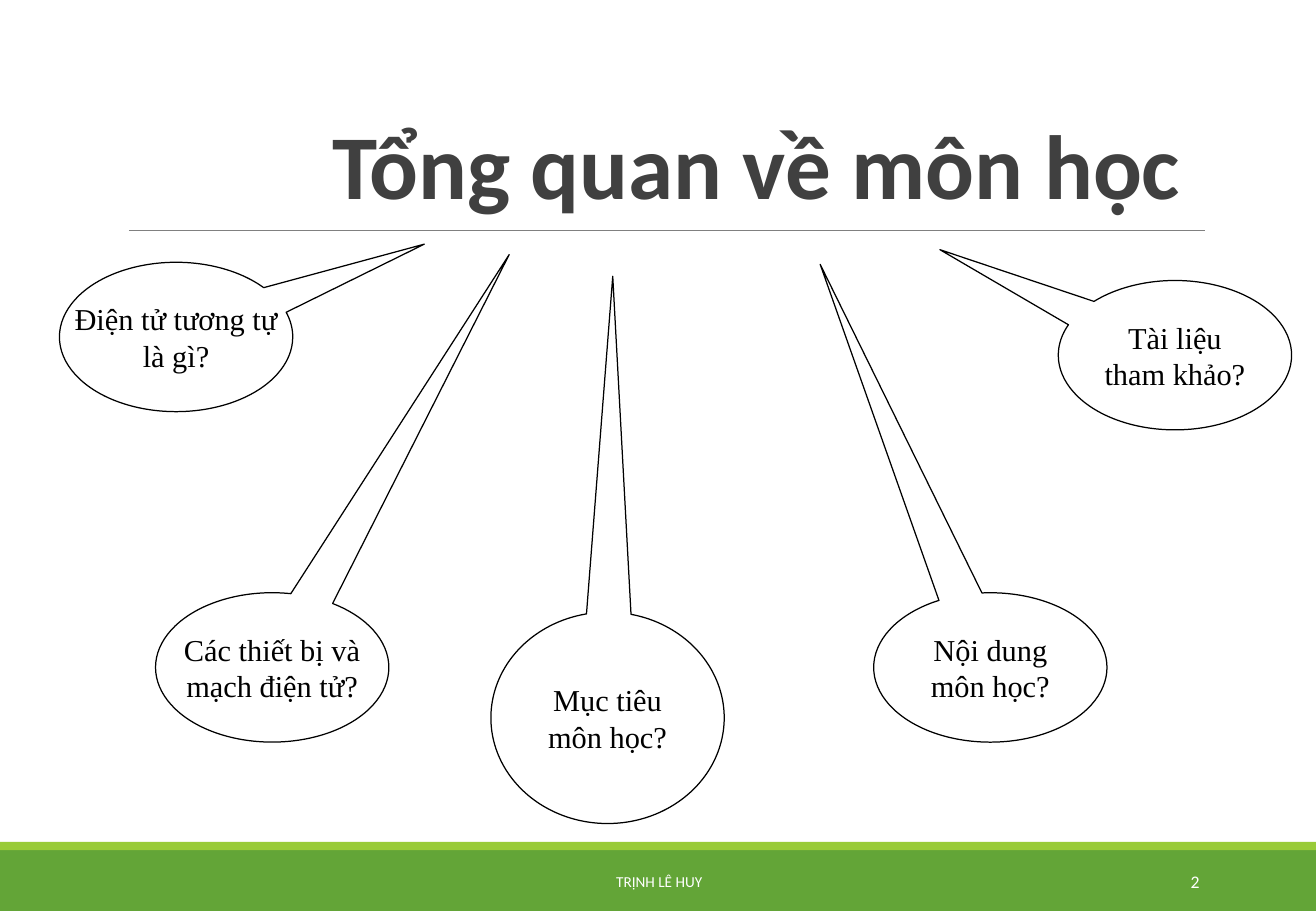
"""Build the course overview slide with five question callouts."""
from dataclasses import dataclass

import lxml.etree
import pptx
import pptx.dml.color
import pptx.enum.shapes
import pptx.enum.text
import pptx.oxml.ns
import pptx.util

ALIGN = pptx.enum.text.PP_ALIGN
ANCHOR = pptx.enum.text.MSO_ANCHOR
SHAPE = pptx.enum.shapes.MSO_SHAPE
SLIDE_WIDTH = pptx.util.Inches(10.83)
SLIDE_HEIGHT = pptx.util.Inches(7.5)


@dataclass(frozen=True)
class Theme:
    band: str = "63A537"
    accent: str = "99CB38"
    rule: str = "808080"
    title: str = "404040"
    ink: str = "000000"
    paper: str = "FFFFFF"
    heading_font: str = "Calibri"
    callout_font: str = "Times New Roman"
    title_size: float = 54
    callout_size: float = 18
    footer_size: float = 9
    number_size: float = 10.5


@dataclass(frozen=True)
class Area:
    """Position and size in percent of the slide."""
    left: float
    top: float
    width: float
    height: float

    def place(self) -> tuple[int, int, int, int]:
        return across(self.left), down(self.top), across(self.width), down(self.height)


@dataclass(frozen=True)
class Style:
    font: str
    size: float
    color: str
    align: ALIGN = ALIGN.CENTER
    bold: bool = False


@dataclass(frozen=True)
class Label:
    text: str
    area: Area
    style: Style
    anchor: ANCHOR = ANCHOR.MIDDLE


@dataclass(frozen=True)
class Callout:
    """A question bubble whose tip is a point in percent of the slide."""
    text: str
    left: float
    top: float
    tip_x: float
    tip_y: float
    height: float = 16.4
    width: float = 17.73


THEME = Theme()
TITLE = Label("Tổng quan về môn học", Area(14.96, 13.6, 85.04, 11.47),
              Style(THEME.heading_font, THEME.title_size, THEME.title, bold=True), ANCHOR.TOP)
FOOTER = Label("TRỊNH LÊ HUY", Area(30.29, 94.13, 39.61, 5.33),
               Style(THEME.heading_font, THEME.footer_size, THEME.paper))
NUMBER = Label("2", Area(81.26, 94.13, 10.8, 5.33),
               Style(THEME.heading_font, THEME.number_size, THEME.paper, ALIGN.RIGHT))
BANDS = [(Area(0, 93.33, 100, 6.67), THEME.band), (Area(0, 92.4, 100, 0.93), THEME.accent)]
CALLOUT_STYLE = Style(THEME.callout_font, THEME.callout_size, THEME.ink)
CALLOUTS = [
    Callout("Mục tiêu\nmôn học?", 37.3, 67.2, 46.56, 30.34, height=23.2),
    Callout("Điện tử tương tự\nlà gì?", 4.52, 28.8, 32.25, 26.8),
    Callout("Các thiết bị và\nmạch điện tử?", 11.82, 65.07, 38.7, 27.94),
    Callout("Nội dung\nmôn học?", 66.39, 65.07, 62.32, 29.02),
    Callout("Tài liệu\ntham khảo?", 80.42, 30.8, 71.42, 27.41),
]


def across(percent: float) -> int:
    return round(SLIDE_WIDTH * percent / 100)


def down(percent: float) -> int:
    return round(SLIDE_HEIGHT * percent / 100)


def rgb(color: str) -> pptx.dml.color.RGBColor:
    return pptx.dml.color.RGBColor.from_string(color)


def write(frame: pptx.text.text.TextFrame, text: str, style: Style) -> None:
    frame.text = text
    for para in frame.paragraphs:
        para.alignment = style.align
        for span in para.runs:
            span.font.name = style.font
            span.font.size = pptx.util.Pt(style.size)
            span.font.bold = style.bold
            span.font.color.rgb = rgb(style.color)


def draw_band(page: pptx.slide.Slide, area: Area, color: str) -> None:
    band = page.shapes.add_shape(SHAPE.RECTANGLE, *area.place())
    band.shadow.inherit = False
    band.fill.solid()
    band.fill.fore_color.rgb = rgb(color)
    band.line.fill.background()


def draw_rule(page: pptx.slide.Slide, left: float, right: float, top: float) -> None:
    rule = page.shapes.add_connector(pptx.enum.shapes.MSO_CONNECTOR.STRAIGHT,
                                     across(left), down(top), across(right), down(top))
    rule.line.color.rgb = rgb(THEME.rule)
    rule.line.width = pptx.util.Pt(0.5)
    lxml.etree.SubElement(rule._element.spPr, pptx.oxml.ns.qn("a:effectLst"))


def draw_label(page: pptx.slide.Slide, label: Label) -> pptx.shapes.autoshape.Shape:
    box = page.shapes.add_textbox(*label.area.place())
    box.text_frame.word_wrap = True
    box.text_frame.vertical_anchor = label.anchor
    write(box.text_frame, label.text, label.style)
    return box


def draw_title(page: pptx.slide.Slide) -> None:
    frame = draw_label(page, TITLE).text_frame
    frame.margin_left = frame.margin_right = 0
    frame.paragraphs[0].line_spacing = 0.8
    frame.paragraphs[0].space_after = pptx.util.Pt(2)


def draw_callout(page: pptx.slide.Slide, callout: Callout) -> None:
    area = Area(callout.left, callout.top, callout.width, callout.height)
    bubble = page.shapes.add_shape(SHAPE.OVAL_CALLOUT, *area.place())
    bubble.adjustments[0] = (callout.tip_x - area.left) / area.width - 0.5
    bubble.adjustments[1] = (callout.tip_y - area.top) / area.height - 0.5
    bubble.shadow.inherit = False
    bubble.fill.background()
    bubble.line.color.rgb = rgb(THEME.ink)
    bubble.line.width = pptx.util.Pt(0.75)
    bubble.text_frame.word_wrap = False
    bubble.text_frame.vertical_anchor = ANCHOR.MIDDLE
    write(bubble.text_frame, callout.text, CALLOUT_STYLE)


def main() -> None:
    deck = pptx.Presentation()
    deck.slide_width, deck.slide_height = SLIDE_WIDTH, SLIDE_HEIGHT
    page = deck.slides.add_slide(deck.slide_layouts[6])
    for area, color in BANDS:
        draw_band(page, area, color)
    draw_rule(page, 9.79, 91.6, 25.33)
    for label in (FOOTER, NUMBER):
        draw_label(page, label)
    draw_title(page)
    for callout in CALLOUTS:
        draw_callout(page, callout)
    deck.save("out.pptx")


if __name__ == "__main__":
    main()
